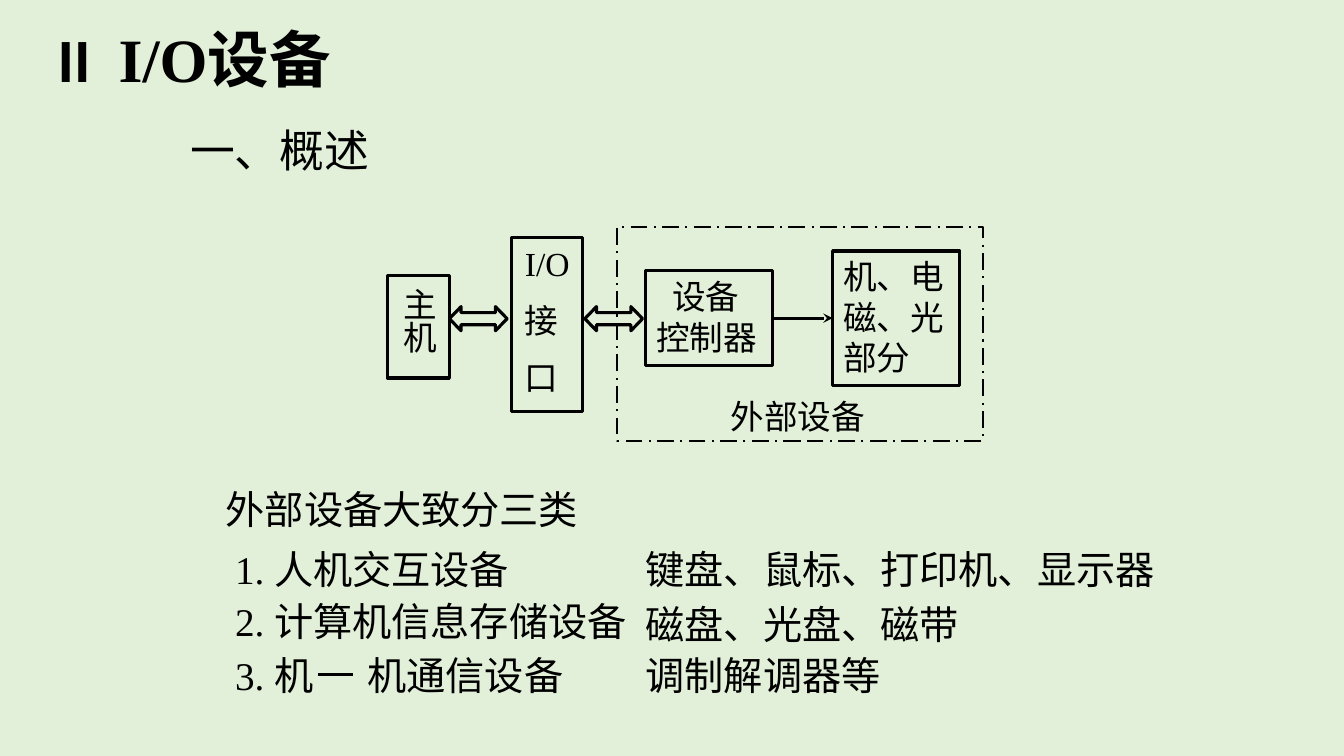
from lxml import etree
from pptx import Presentation
from pptx import util as u
from pptx.dml import color
from pptx.enum import dml, shapes, text
from pptx.oxml import ns

PX = 9525
INK = "000000"


def rgb(value):
    """Return the colour of a hex string."""
    return color.RGBColor.from_string(value)


def px(*lengths):
    """Turn whole pixels into EMU lengths."""
    return [u.Emu(length * PX) for length in lengths]


def assign(target, values):
    """Set each attribute of target from a dict."""
    for name, value in values.items():
        setattr(target, name, value)


def child(parent, tag, **attributes):
    """Append a drawing element to parent."""
    return etree.SubElement(parent, ns.qn(tag), **attributes)


class Builder:
    """Draw elements in one style on the current slide."""

    def __init__(self, presentation, background):
        self.slide = presentation.slides.add_slide(presentation.slide_layouts[6])
        fill = self.slide.background.fill
        fill.solid()
        fill.fore_color.rgb = rgb(background)
        self.face = "Times New Roman"

    def fill_text(self, shape, lines, size, gap=0, insets=(10, 5, 10, 5), anchor=text.MSO_ANCHOR.TOP):
        """Fill a shape with paragraphs and return its text frame."""
        frame = shape.text_frame
        sides = ("margin_left", "margin_top", "margin_right", "margin_bottom")
        assign(frame, {"word_wrap": True, "vertical_anchor": anchor, **dict(zip(sides, px(*insets)))})
        for index, line in enumerate(lines):
            paragraph = frame.add_paragraph() if index else frame.paragraphs[0]
            paragraph.alignment = text.PP_ALIGN.LEFT
            if index and gap:
                paragraph.space_before = u.Pt(gap)
            self.run(paragraph, line, size, self.face)
        return frame

    def run(self, paragraph, words, size, face, bold=False):
        """Add one formatted run."""
        run = paragraph.add_run()
        run.text = words
        assign(run.font, {"size": u.Pt(size), "name": face, "bold": bold})
        run.font.color.rgb = rgb(INK)

    def tab(self, paragraph, position):
        """Set one left tab stop in a paragraph."""
        stops = child(paragraph._p.get_or_add_pPr(), "a:tabLst")
        child(stops, "a:tab", pos=str(position * PX), algn="l")

    def label(self, box, lines, size, **layout):
        """Add a text box."""
        return self.fill_text(self.slide.shapes.add_textbox(*px(*box)), lines, size, **layout)

    def title(self, box, runs, tab):
        """Add the bold heading with runs of words and fonts."""
        frame = self.label(box, [], 44, anchor=text.MSO_ANCHOR.MIDDLE)
        paragraph = frame.paragraphs[0]
        paragraph.line_spacing = 0.9
        self.tab(paragraph, tab)
        for words, face in runs:
            self.run(paragraph, words, 44, face, bold=True)

    def outline(self, kind, box, width=2.25, dash=None):
        """Add an unfilled outlined shape."""
        shape = self.slide.shapes.add_shape(kind, *px(*box))
        shape.shadow.inherit = False
        shape.fill.background()
        shape.line.color.rgb = rgb(INK)
        assign(shape.line, {"width": u.Pt(width), "dash_style": dash})
        return shape

    def block(self, box, lines, **layout):
        """Add a labelled rectangle."""
        shape = self.outline(shapes.MSO_SHAPE.RECTANGLE, box)
        self.fill_text(shape, lines, 24, **layout)
        return shape

    def double_arrow(self, box):
        """Add a two-way block arrow."""
        shape = self.outline(shapes.MSO_SHAPE.LEFT_RIGHT_ARROW, box)
        shape.adjustments[1] = 0.484

    def line(self, start, end):
        """Add a plain straight line."""
        connector = self.slide.shapes.add_connector(shapes.MSO_CONNECTOR.STRAIGHT, *px(*start, *end))
        connector.line.color.rgb = rgb(INK)
        connector.line.width = u.Pt(2.25)
        child(connector._element.spPr, "a:effectLst")
        return connector

    def arrow(self, source, target, start, end):
        """Join the right side of source to the left side of target."""
        connector = self.line(start, end)
        connector.begin_connect(source, 3)
        connector.end_connect(target, 1)
        child(connector.line._get_or_add_ln(), "a:tailEnd", type="stealth")


def main():
    """Build and save the slide."""
    presentation = Presentation()
    width, height = px(1280, 720)
    assign(presentation, {"slide_width": width, "slide_height": height})
    builder = Builder(presentation, "E2F0D9")

    builder.title((45, 0, 816, 120), [("II\t", "Calibri"), ("I/O", "Times New Roman"), ("设备", "Calibri")], 58)
    builder.label((171, 112, 248, 60), ["一、概述"], 32)

    host = builder.block((369, 262, 59, 98), ["主机"], insets=(10, 12, 10, 5))
    host.text_frame._txBody.bodyPr.set("vert", "eaVert")
    controller = builder.block((615, 258, 121, 90), ["设备", "控制器"])
    controller.text_frame.paragraphs[0]._p.get_or_add_pPr().set("marL", str(15 * PX))
    parts = builder.block((793, 239, 121, 128), ["机、电", "磁、光", "部分"])
    builder.block((487, 226, 68, 166), ["I/O", "接", "口"], gap=12, insets=(13, 5, 6, 5))
    builder.outline(shapes.MSO_SHAPE.RECTANGLE, (588, 216, 348, 204), 1.5, dml.MSO_LINE.LONG_DASH_DOT)
    builder.label((686, 372, 219, 48), ["外部设备"], 24)
    builder.arrow(controller, parts, (736, 303), (793, 303))
    for left in (557, 428):
        builder.double_arrow((left, 292, 55, 23))

    builder.label((205, 457, 464, 55), ["外部设备大致分三类"], 28)
    categories = [
        (514, "1. 人机交互设备", 514, "键盘、鼠标、打印机、显示器"),
        (564, "2. 计算机信息存储设备", 567, "磁盘、光盘、磁带"),
        (615, "3. 机\t机通信设备", 615, "调制解调器等"),
    ]
    for name_top, name, example_top, examples in categories:
        frame = builder.label((214, name_top, 440, 55), [name], 28)
        if "\t" in name:
            builder.tab(frame.paragraphs[0], 126)
        builder.label((605, example_top, 528, 55), [examples], 28)
    builder.line((303, 642), (336, 642))

    presentation.save("out.pptx")


if __name__ == "__main__":
    main()
